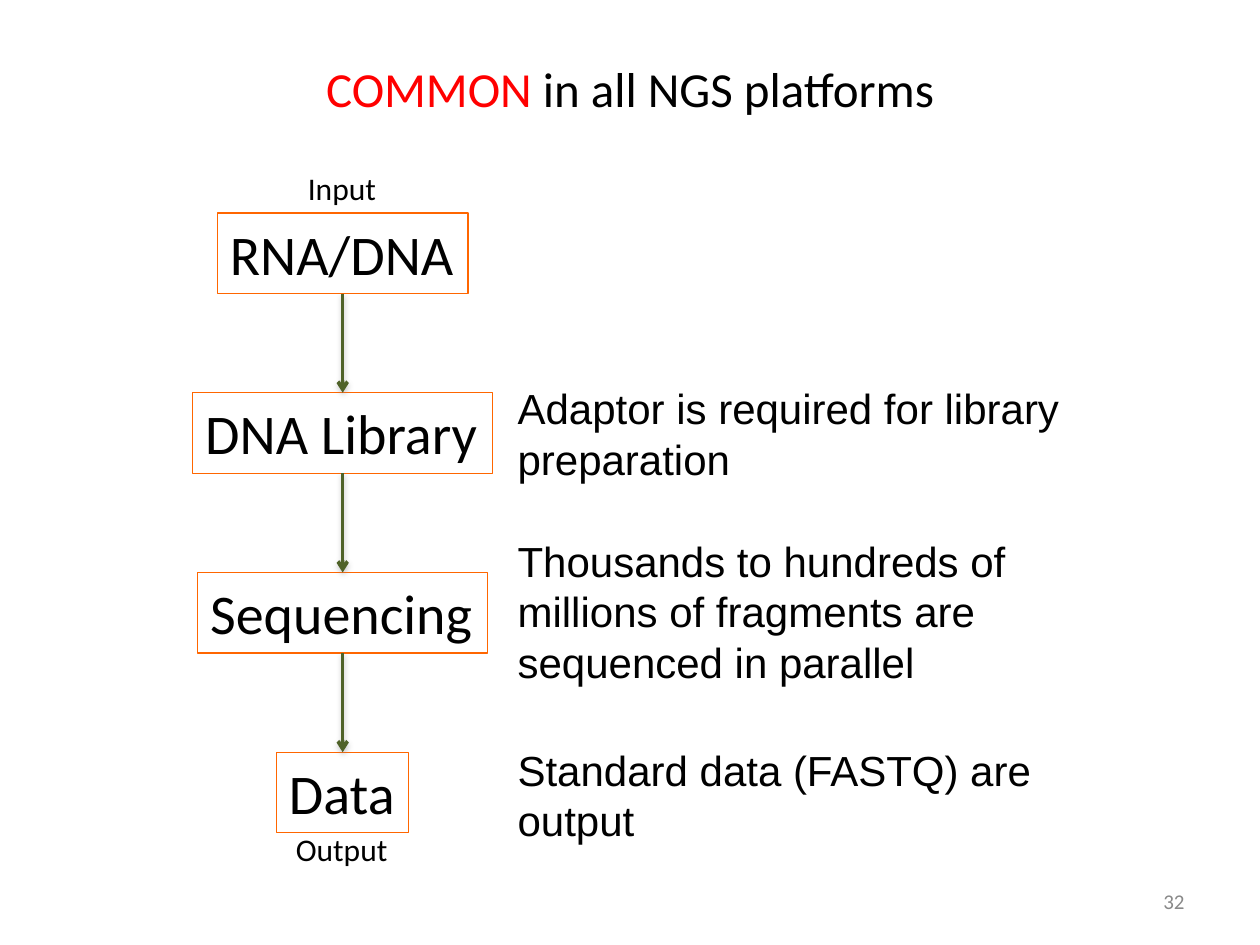
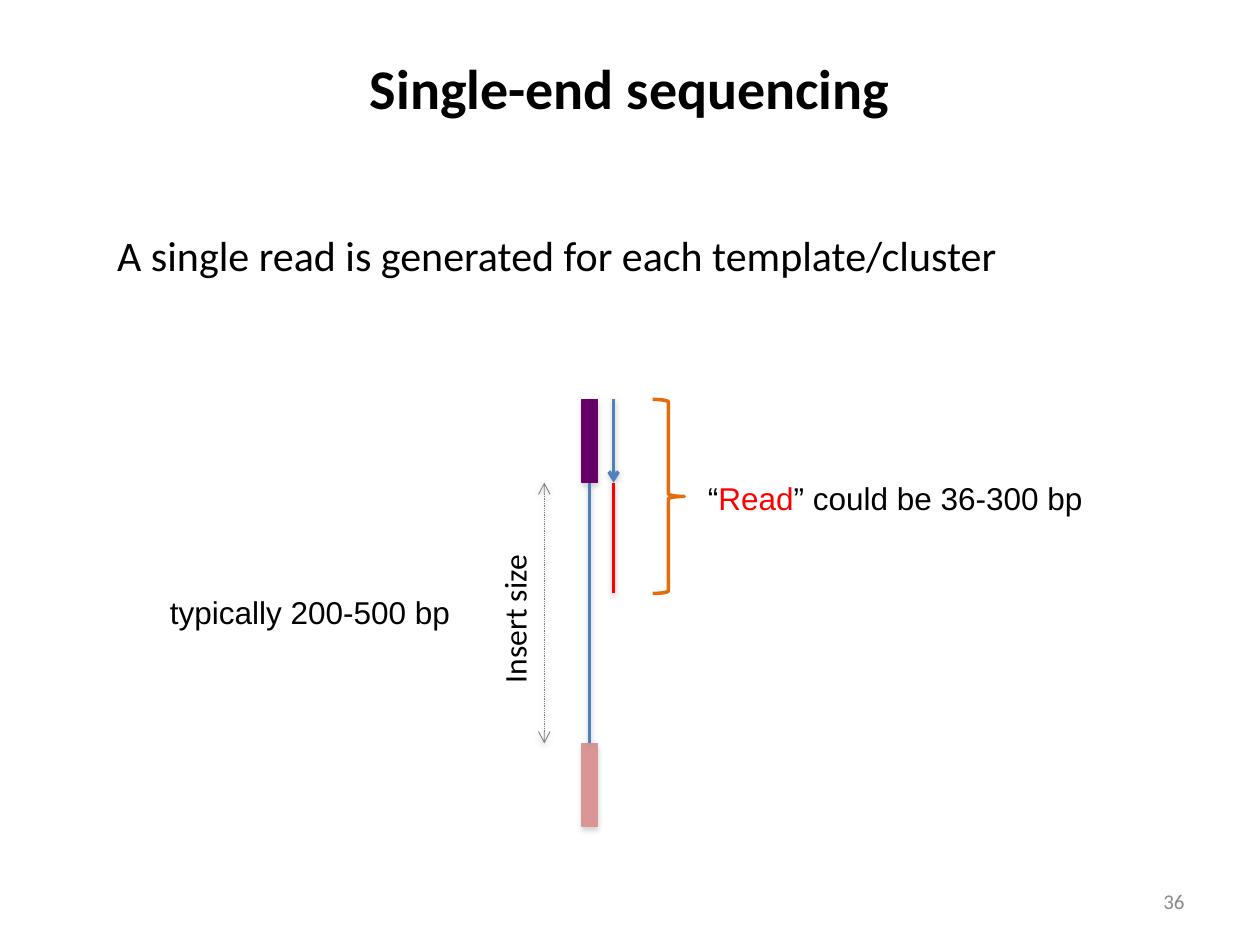
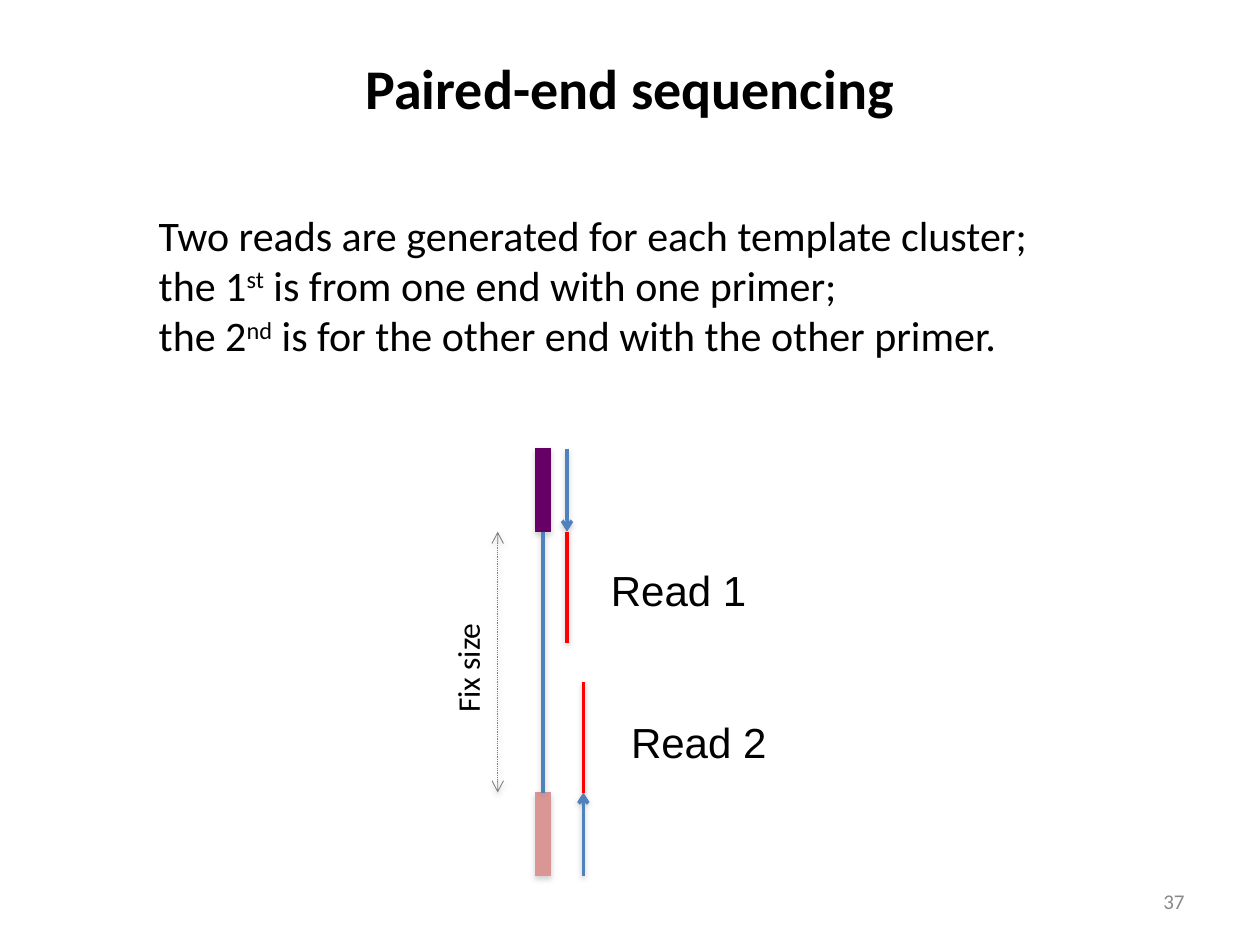
from lxml import etree
from pptx import Presentation
from pptx import util as u
from pptx.dml.color import RGBColor
from pptx.enum import dml, shapes, text
from pptx.oxml import ns

BLACK = RGBColor(0x00, 0x00, 0x00)
RED = RGBColor(0xFF, 0x00, 0x00)
GREY = RGBColor(0x89, 0x89, 0x89)
ORANGE = RGBColor(0xFF, 0x66, 0x00)
BRACE = RGBColor(0xE4, 0x6C, 0x0A)
GREEN = RGBColor(0x4F, 0x62, 0x28)
BLUE = RGBColor(0x4F, 0x81, 0xBD)
PURPLE = RGBColor(0x66, 0x00, 0x66)
PINK = RGBColor(0xD9, 0x96, 0x94)
MID_GREY = RGBColor(0x7F, 0x7F, 0x7F)
HEADING, PROSE = "Calibri", "Arial"
WIDTH, HEIGHT = u.Inches(10), u.Inches(7.5)
COLUMNS, ROWS = 100, 75


def grid(left, top, width, height):
    """Turn grid columns and rows into slide lengths."""
    return [int(n * step) for n, step in zip(
        (left, top, width, height), (WIDTH / COLUMNS, HEIGHT / ROWS) * 2)]


def place(shape, box):
    """Move a placeholder to a grid box."""
    shape.left, shape.top, shape.width, shape.height = grid(*box)


def add_xml(parent, tag, **attributes):
    """Append a drawing element with its attributes."""
    child = etree.SubElement(parent, ns.qn("a:" + tag))
    for key, value in attributes.items():
        child.set(key, str(value))
    return child


def cast_shadow(shape, alpha, distance):
    """Give a shape or line a soft grey shadow below it."""
    effects = add_xml(shape._element.spPr, "effectLst")
    shadow = add_xml(effects, "outerShdw", blurRad=u.Pt(3.1), dist=u.Pt(distance),
                     dir=90 * 60000, rotWithShape=0)
    add_xml(add_xml(shadow, "srgbClr", val="808080"), "alpha", val=alpha * 1000)


def write(frame, lines, size, font=HEADING, color=BLACK, bold=False,
          align=text.PP_ALIGN.LEFT, hanging=None):
    """Fill a frame; each line lists strings or (string, colour, baseline) runs."""
    for index, line in enumerate(lines):
        paragraph = frame.add_paragraph() if index else frame.paragraphs[0]
        if hanging:
            properties = paragraph._p.get_or_add_pPr()
            properties.set("marL", str(u.Inches(hanging)))
            properties.set("indent", str(-u.Inches(hanging)))
            add_xml(properties, "buNone")
        paragraph.alignment = align
        paragraph.space_before = u.Pt(0)
        style = paragraph.font
        style.name, style.size, style.bold = font, u.Pt(size), bold
        style.color.rgb = color
        for part in line:
            words, tint, baseline = (part, None, 0) if isinstance(part, str) else part
            run = paragraph.add_run()
            run.text = words
            if tint is not None:
                run.font.color.rgb = tint
            if baseline:
                run._r.get_or_add_rPr().set("baseline", str(baseline * 1000))


def add_label(slide, box, line, size=18, font=PROSE, wrap=False, **style):
    """Add one line or paragraph of text in a grid box."""
    label = slide.shapes.add_textbox(*grid(*box))
    label.text_frame.word_wrap = wrap
    write(label.text_frame, [line], size, font, **style)
    return label


def add_bar(slide, box, color):
    """Add a filled adaptor bar with a shadow."""
    bar = slide.shapes.add_shape(shapes.MSO_SHAPE.RECTANGLE, *grid(*box))
    bar.fill.solid()
    bar.fill.fore_color.rgb = color
    bar.line.color.rgb = color
    bar.line.width = u.Pt(0.75)
    cast_shadow(bar, 35, 1.8)
    return bar


def add_line(slide, x, start, end, color, weight=2, head=False, tail=False, dash=None):
    """Add a vertical line with a shadow and optional arrowheads."""
    left, top, right, bottom = grid(x, start, x, end)
    line = slide.shapes.add_connector(
        shapes.MSO_CONNECTOR.STRAIGHT, left, top, right, bottom)
    line.line.color.rgb = color
    line.line.width = u.Pt(weight)
    if dash:
        line.line.dash_style = dash
    outline = line.line._get_or_add_ln()
    for tag, wanted in (("headEnd", head), ("tailEnd", tail)):
        if wanted:
            add_xml(outline, tag, type="arrow")
    cast_shadow(line, 38, 1.6)
    return line


def join(line, above, below):
    """Join a line from the bottom of one shape to the top of the next."""
    line.begin_connect(above, 2)
    line.end_connect(below, 0)


def start_slide(deck, layout, title, number, size=32, bold=True):
    """Add a slide with its title and page number."""
    slide = deck.slides.add_slide(deck.slide_layouts[layout])
    heading = slide.shapes.title
    place(heading, (5, 3, 90, 7.9))
    heading.text_frame.vertical_anchor = text.MSO_ANCHOR.MIDDLE
    write(heading.text_frame, [title], size, bold=bold, align=text.PP_ALIGN.CENTER)
    page = add_label(slide, (71.7, 69.5, 23.3, 4), [number], 12, HEADING, True,
                     color=GREY, align=text.PP_ALIGN.RIGHT)
    page.text_frame.vertical_anchor = text.MSO_ANCHOR.MIDDLE
    return slide


def add_summary(slide, box, lines, hanging):
    """Write the summary lines in the body placeholder."""
    summary = slide.placeholders[1]
    place(summary, box)
    summary.text_frame.auto_size = text.MSO_AUTO_SIZE.NONE
    write(summary.text_frame, lines, 24, hanging=hanging)


def add_workflow(slide, box, steps):
    """Stack the steps in a box and link each to the next."""
    left, top, width, height = box
    step_height = 6.4
    pitch = (height - step_height) / (len(steps) - 1)
    center = left + width / 2
    previous = None
    for index, (name, step_width) in enumerate(steps):
        row = top + index * pitch
        step = slide.shapes.add_shape(shapes.MSO_SHAPE.RECTANGLE, *grid(
            center - step_width / 2, row, step_width, step_height))
        step.shadow.inherit = False
        step.fill.background()
        step.line.color.rgb = ORANGE
        step.line.width = u.Pt(0.75)
        step.text_frame.word_wrap = False
        step.text_frame.vertical_anchor = text.MSO_ANCHOR.TOP
        write(step.text_frame, [[name]], 32)
        if previous:
            link = add_line(slide, center, row - pitch + step_height, row, GREEN, tail=True)
            join(link, previous, step)
        previous = step
    add_label(slide, (center - 3.75, top - 4, 7.5, 4), ["Input"], font=HEADING)
    add_label(slide, (center - 4.7, top + height - 0.7, 9.4, 4), ["Output"], font=HEADING)


def add_notes(slide, box, notes):
    """Write the remarks beside the workflow, each at its row in the box."""
    left, top, width, _ = box
    for row, height, remark in notes:
        add_label(slide, (left, top + row, width, height), [remark], 24, wrap=True)


def add_read(slide, x, start, primer, read):
    """Draw a primer arrow and the read that extends it."""
    add_line(slide, x, start, start + primer, BLUE, tail=True)
    add_line(slide, x, start + primer, start + primer + read, RED)


def add_template(slide, box, size_name, label_width, paired=False):
    """Draw a template with its adaptors, insert size and reads in a box."""
    left, top, width, height = box
    adaptor, read, bar = 6.6, 8.8, 1.2
    bottom = top + height
    strand = left + 3.6
    upper, lower = (add_bar(slide, (strand - bar / 2, row, bar, adaptor), color)
                    for row, color in ((top, PURPLE), (bottom - adaptor, PINK)))
    insert = add_line(slide, strand, top + adaptor, bottom - adaptor, BLUE)
    join(insert, upper, lower)
    add_read(slide, left + 5.5, top, adaptor, read)
    if paired:
        add_read(slide, left + width, bottom, -adaptor, -read)
    add_line(slide, left, top + adaptor, bottom - adaptor, MID_GREY, 0.5,
             head=True, tail=True, dash=dml.MSO_LINE.ROUND_DOT)
    label = add_label(slide, (left - 2.4 - label_width / 2, top + height / 2 - 1.6,
                              label_width, 4), [size_name], font=HEADING)
    label.rotation = 270


def add_brace(slide, box):
    """Add the brace that spans the primer and the read."""
    brace = slide.shapes.add_shape(shapes.MSO_SHAPE.RIGHT_BRACE, *grid(*box))
    brace.shadow.inherit = False
    brace.fill.background()
    brace.line.color.rgb = BRACE
    brace.line.width = u.Pt(2)


def build_common(deck):
    """Build the slide on the steps that all platforms share."""
    slide = start_slide(deck, 5, [("COMMON", RED, 0), " in all NGS platforms"],
                        "32", 28, False)
    add_workflow(slide, (15.3, 16.9, 23.8, 49.2), [
        ("RNA/DNA", 19.9), ("DNA Library", 23.8), ("Sequencing", 23), ("Data", 10.5)])
    add_notes(slide, (40.1, 29.9, 48.7, 37.8), [
        (0, 9.1, "Adaptor is required for library preparation"),
        (12.1, 13.1, "Thousands to hundreds of millions of fragments are "
                     "sequenced in parallel"),
        (28.7, 9.1, "Standard data (FASTQ) are output")])


def build_single(deck):
    """Build the slide on single-end sequencing."""
    slide = start_slide(deck, 1, ["Single-end sequencing"], "36")
    add_summary(slide, (8.3, 17.7, 83.9, 9.1),
                [["A single read is generated for each template/cluster"]], 0.37)
    add_template(slide, (43.2, 31.7, 5.5, 33.9), "Insert size", 12.3)
    add_label(slide, (12.5, 46.6, 25.2, 4), ["typically 200-500 bp"])
    add_label(slide, (55.2, 37.5, 32.9, 4),
              ["“", ("Read", RED, 0), "” could be 36-300 bp"])
    add_brace(slide, (51.8, 31.7, 2.5, 15.4))


def build_paired(deck):
    """Build the slide on paired-end sequencing."""
    slide = start_slide(deck, 1, ["Paired-end sequencing"], "37")
    add_summary(slide, (11.6, 16.1, 71.9, 13.1), [
        ["Two reads are generated for each template cluster;"],
        ["the 1", ("st", None, 30), " is from one end with one primer;"],
        ["the 2", ("nd", None, 30), " is for the other end with the other primer."],
    ], 0.5)
    add_template(slide, (39.5, 35.6, 6.8, 33.9), "Fix size", 9.2, paired=True)
    for name, left, top in (("Read 1", 47.5, 44.3), ("Read 2", 49.1, 56.4)):
        add_label(slide, (left, top, 12.9, 5), [name], 24)


def main():
    """Build the deck and save it."""
    deck = Presentation()
    deck.slide_width, deck.slide_height = WIDTH, HEIGHT
    for build in (build_common, build_single, build_paired):
        build(deck)
    deck.save("out.pptx")


if __name__ == "__main__":
    main()
